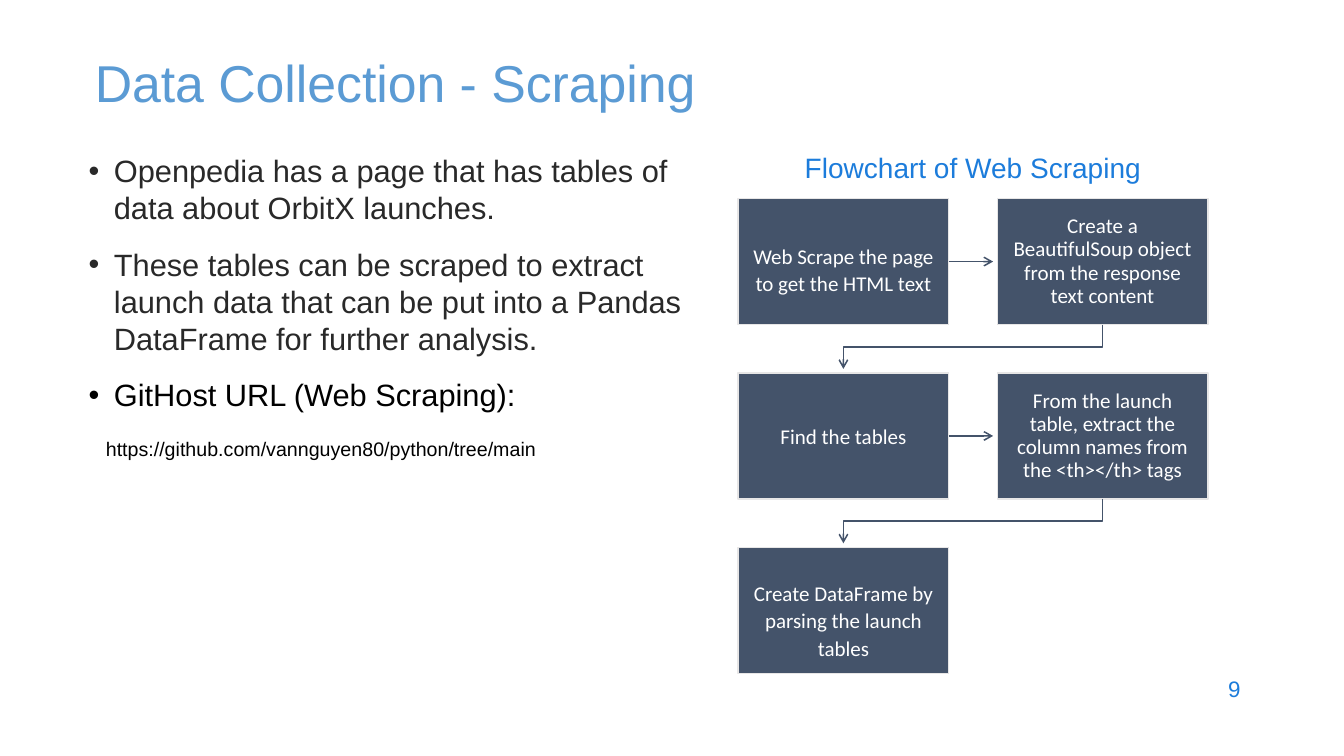
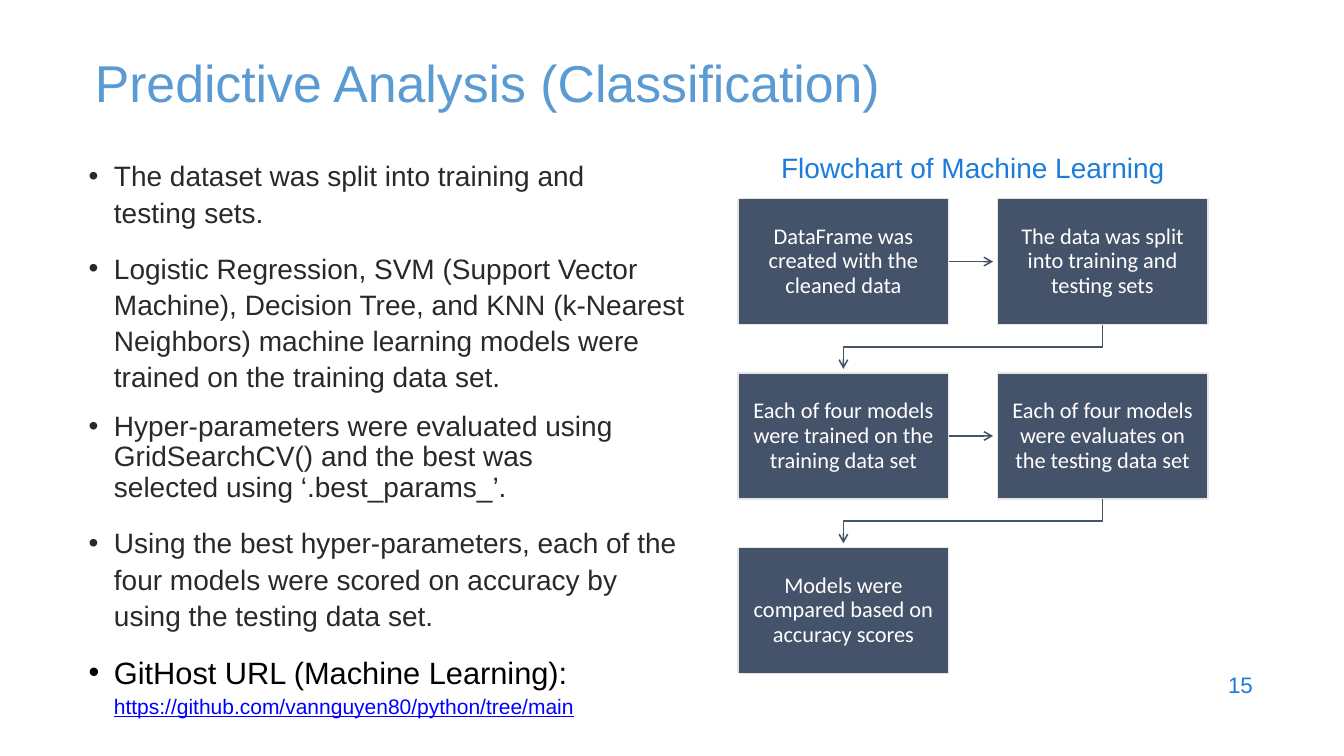
"""Builds two slides, each with a bulleted summary beside a five-step flowchart."""
from lxml.etree import SubElement
from pptx import Presentation
from pptx.dml.color import RGBColor
from pptx.enum.shapes import MSO_CONNECTOR, MSO_SHAPE
from pptx.enum.text import MSO_ANCHOR, PP_ALIGN
from pptx.oxml.ns import qn
from pptx.util import Inches, Pt

TITLE_BLUE = RGBColor(0x5B, 0x9B, 0xD4)
ACCENT_BLUE = RGBColor(0x1C, 0x7C, 0xDB)
LINK_BLUE = RGBColor(0x00, 0x00, 0xFF)
SLATE = RGBColor(0x44, 0x53, 0x6A)
PALE_GRAY = RGBColor(0xE7, 0xE6, 0xE6)
INK = RGBColor(0x29, 0x29, 0x29)
BLACK = RGBColor(0x00, 0x00, 0x00)
WHITE = RGBColor(0xFF, 0xFF, 0xFF)

TITLE_FONT = {"name": "Arial", "size": Pt(37), "color": TITLE_BLUE}
CAPTION_FONT = {"name": "Arial", "size": Pt(20), "color": ACCENT_BLUE}
NUMBER_FONT = {"name": "Arial", "size": Pt(16), "color": ACCENT_BLUE}
BODY_FONT = {"name": "Arial", "size": Pt(22), "color": INK}
SMALL_BODY_FONT = BODY_FONT | {"size": Pt(20)}
LABEL_FONT = BODY_FONT | {"color": BLACK}
ADDRESS_FONT = LABEL_FONT | {"size": Pt(14)}
LINK_FONT = {"name": "Arial", "size": Pt(15), "color": LINK_BLUE, "underline": True}

STEP_LEFT, STEP_TOP = 7.32, 1.97
STEP_WIDTH, STEP_HEIGHT, STEP_GAP = 2.09, 1.25, 0.48
ARROW_CLEARANCE = 0.04
BULLET_MARGIN, BULLET_HANG = 0.26, -0.25
ADDRESS = "https://github.com/vannguyen80/python/tree/main"

SLIDES = [
    {
        "title": "Data Collection - Scraping",
        "caption": "Flowchart of Web Scraping",
        "number": "9",
        "number_top": 6.7,
        "body_top": 1.51,
        "body": [
            ("Openpedia has a page that has tables of data about OrbitX launches.",
             BODY_FONT, {}, BULLET_MARGIN, BULLET_HANG),
            ("These tables can be scraped to extract launch data that can be put "
             "into a Pandas DataFrame for further analysis.",
             BODY_FONT, {"space_before": Pt(14)}, BULLET_MARGIN, BULLET_HANG),
            ("GitHost URL (Web Scraping):",
             LABEL_FONT, {"space_before": Pt(14)}, BULLET_MARGIN, BULLET_HANG),
            (ADDRESS, ADDRESS_FONT, {"space_before": Pt(17)}, 0.18, 0),
        ],
        "step_size": 15,
        "steps": [
            ("Web Scrape the page to get the HTML text", 1.09, 0.14),
            ("Create a BeautifulSoup object from the response text content", 0.92, 0),
            ("Find the tables", 1, 0),
            ("From the launch table, extract the column names from the <th></th> tags",
             0.92, 0),
            ("Create DataFrame by parsing the launch tables", 1.09, 0.18),
        ],
    },
    {
        "title": "Predictive Analysis (Classification)",
        "caption": "Flowchart of Machine Learning",
        "number": "15",
        "number_top": 6.66,
        "body_top": 1.55,
        "body": [
            ("The dataset was split into training and\vtesting sets.",
             SMALL_BODY_FONT, {"line_spacing": 1.08}, BULLET_MARGIN, BULLET_HANG),
            ("Logistic Regression, SVM (Support Vector Machine), Decision Tree, and "
             "KNN (k-Nearest Neighbors) machine learning models were trained on the "
             "training data set.",
             SMALL_BODY_FONT, {"line_spacing": 1.08, "space_before": Pt(14)},
             BULLET_MARGIN, BULLET_HANG),
            ("Hyper-parameters were evaluated using GridSearchCV() and the best was\v"
             "selected using ‘.best_params_’.",
             SMALL_BODY_FONT, {"line_spacing": 0.9, "space_before": Pt(13.6)},
             BULLET_MARGIN, BULLET_HANG),
            ("Using the best hyper-parameters, each of the four models were scored on "
             "accuracy by\vusing the testing data set.",
             SMALL_BODY_FONT, {"line_spacing": 1.08, "space_before": Pt(14.3)},
             BULLET_MARGIN, BULLET_HANG),
            ("GitHost URL (Machine Learning):",
             LABEL_FONT, {"line_spacing": 1.16, "space_before": Pt(11)},
             BULLET_MARGIN, BULLET_HANG),
            (ADDRESS, LINK_FONT, {"line_spacing": 1.05, "space_before": Pt(1.4)},
             BULLET_MARGIN, 0),
        ],
        "step_size": 16,
        "steps": [
            ("DataFrame was created with the cleaned data", 0.92, 0),
            ("The data was split into training and testing sets", 0.92, 0),
            ("Each of four models were trained on the training data set", 0.92, 0),
            ("Each of four models were evaluates on the testing data set", 0.92, 0),
            ("Models were compared based on accuracy scores", 0.92, 0),
        ],
    },
]


def write(para, text, font, layout):
    """Fill a paragraph and apply its layout and font values."""
    para.text = text
    for name, value in layout.items():
        setattr(para, name, value)
    for span in para.runs:
        for name, value in font.items():
            if name == "color":
                span.font.color.rgb = value
            else:
                setattr(span.font, name, value)


def add_box(page, left, top, width, height):
    """Add a wrapping text box without margins and return its text frame."""
    frame = page.shapes.add_textbox(
        Inches(left), Inches(top), Inches(width), Inches(height)).text_frame
    frame.word_wrap = True
    for side in ("left", "top", "right", "bottom"):
        setattr(frame, f"margin_{side}", 0)
    return frame


deck = Presentation()
deck.slide_width, deck.slide_height = Inches(13.33), Inches(7.5)

for content in SLIDES:
    page = deck.slides.add_slide(deck.slide_layouts[6])

    flow_width = 2 * STEP_WIDTH + STEP_GAP
    for text, font, layout, place in [
        (content["title"], TITLE_FONT, {}, (0.94, 0.5, 11.2, 0.65)),
        (content["caption"], CAPTION_FONT, {"alignment": PP_ALIGN.CENTER},
         (STEP_LEFT, 1.49, flow_width, 0.36)),
        (content["number"], NUMBER_FONT, {}, (12.18, content["number_top"], 0.4, 0.28)),
    ]:
        write(add_box(page, *place).paragraphs[0], text, font, layout)

    body = add_box(page, 0.87, content["body_top"], 6.08, 5.6)
    for index, (text, font, layout, margin, hang) in enumerate(content["body"]):
        para = body.add_paragraph() if index else body.paragraphs[0]
        properties = para._p.get_or_add_pPr()
        properties.set("marL", str(Inches(margin)))
        properties.set("indent", str(Inches(hang)))
        if hang:
            SubElement(properties, qn("a:buFont")).set("typeface", "Arial")
            SubElement(properties, qn("a:buChar")).set("char", "•")
        write(para, text, font, layout)

    step_font = {"name": "Calibri", "size": Pt(content["step_size"]), "color": WHITE}
    steps = []
    for index, (text, spacing, top_margin) in enumerate(content["steps"]):
        row, column = divmod(index, 2)
        step = page.shapes.add_shape(
            MSO_SHAPE.RECTANGLE,
            Inches(STEP_LEFT + column * (STEP_WIDTH + STEP_GAP)),
            Inches(STEP_TOP + row * (STEP_HEIGHT + STEP_GAP)),
            Inches(STEP_WIDTH), Inches(STEP_HEIGHT))
        step.shadow.inherit = False
        step.fill.solid()
        step.fill.fore_color.rgb = SLATE
        step.line.color.rgb = PALE_GRAY
        step.line.width = Pt(0.96)
        frame = step.text_frame
        for name, value in {
            "word_wrap": True, "vertical_anchor": MSO_ANCHOR.MIDDLE,
            "margin_left": Inches(0.14), "margin_right": Inches(0.14),
            "margin_top": Inches(top_margin), "margin_bottom": 0,
        }.items():
            setattr(frame, name, value)
        write(frame.paragraphs[0], text, step_font,
              {"alignment": PP_ALIGN.CENTER, "line_spacing": spacing})
        steps.append(step)

    reach = Inches(STEP_GAP - ARROW_CLEARANCE)
    for index, step in enumerate(steps[:-1]):
        if index % 2 == 0:
            start = step.left + step.width
            middle = step.top + step.height // 2
            arrow = page.shapes.add_connector(
                MSO_CONNECTOR.STRAIGHT, start, middle, start + reach, middle)
            arrow.begin_connect(step, 3)
        else:
            drop = Inches(STEP_WIDTH + STEP_GAP)
            center_x = step.left + step.width // 2 - drop // 2
            center_y = step.top + step.height + reach // 2
            arrow = page.shapes.add_connector(
                MSO_CONNECTOR.ELBOW, center_x - reach // 2, center_y - drop // 2,
                center_x + reach // 2, center_y + drop // 2)
            arrow._element.spPr.find(qn("a:xfrm")).set("rot", "5400000")
        arrow.line.color.rgb = SLATE
        arrow.line.width = Pt(1.1)
        SubElement(arrow.line._get_or_add_ln(), qn("a:tailEnd")).set("type", "arrow")
        SubElement(arrow._element.spPr, qn("a:effectLst"))

deck.save("out.pptx")
